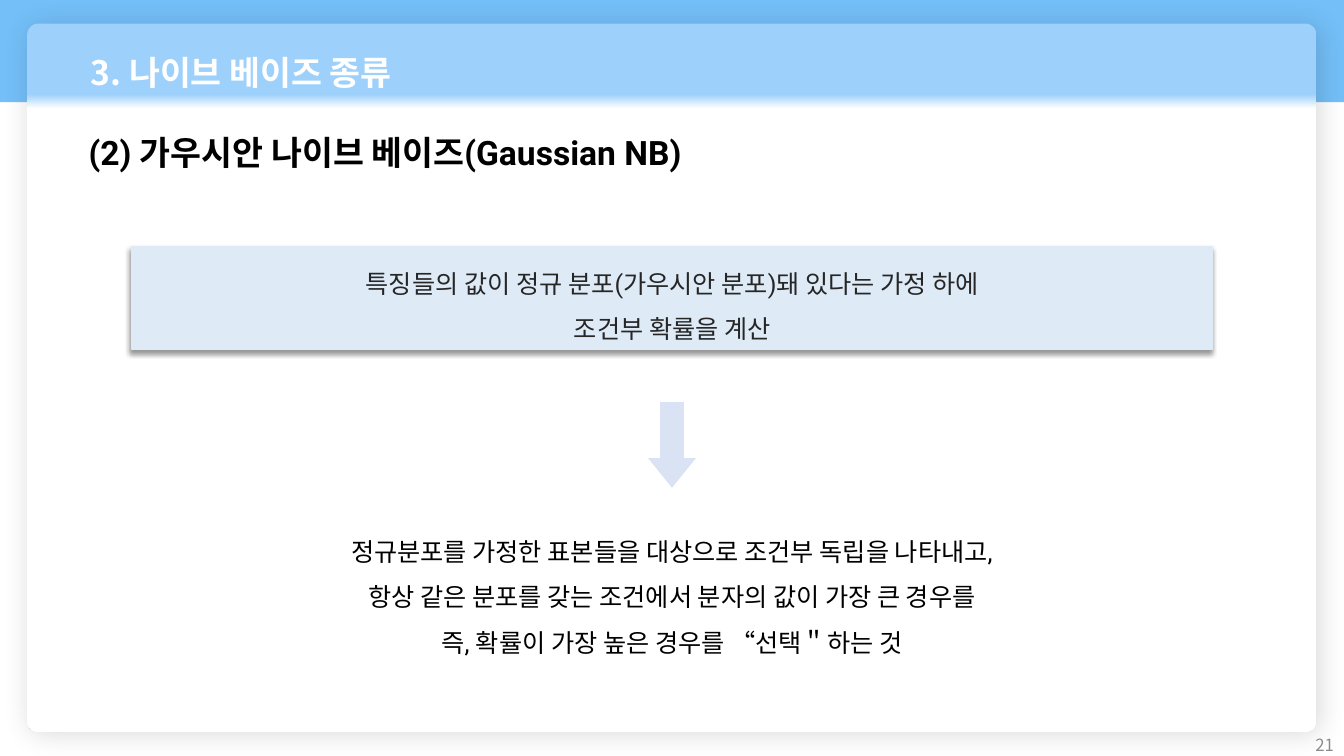
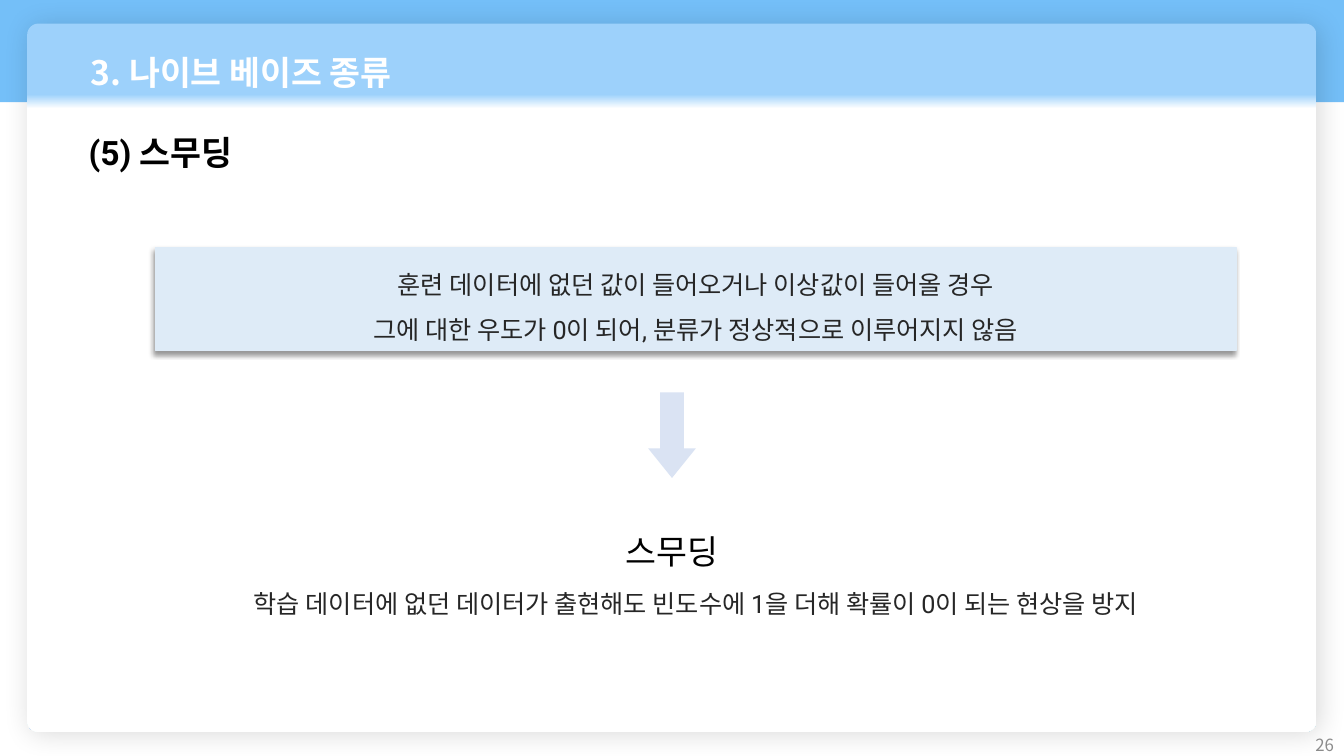
from dataclasses import dataclass

from lxml.etree import SubElement
from pptx import Presentation
from pptx.dml.color import RGBColor as RGB
from pptx.enum.shapes import MSO_SHAPE as SHAPE
from pptx.enum.text import MSO_ANCHOR as ANCHOR, MSO_AUTO_SIZE as AUTO, PP_ALIGN as ALIGN
from pptx.oxml.ns import qn
from pptx.util import Pt


@dataclass(frozen=True)
class Theme:
    band: str = "74BFF8"
    panel_top: str = "9DD1FB"
    white: str = "FFFFFF"
    black: str = "000000"
    ink: str = "262626"
    number: str = "8C8C8C"
    box: str = "DEEBF7"
    arrow: str = "DAE3F3"
    title_size: int = 24
    body_size: int = 18
    number_size: int = 12
    korean: str = "Noto Sans CJK KR"
    latin: str = "Roboto"


class Deck:
    WIDTH, HEIGHT = 960, 540

    def __init__(self, theme):
        self.theme = theme
        self.prs = Presentation()
        self.prs.slide_width, self.prs.slide_height = Pt(self.WIDTH), Pt(self.HEIGHT)
        self.s = None

    # Basic elements
    def shape(self, kind, at, fill=None):
        sp = self.s.shapes.add_shape(kind, *map(Pt, at))
        sp.line.fill.background()
        sp.shadow.inherit = False
        if fill:
            sp.fill.solid()
            sp.fill.fore_color.rgb = RGB.from_string(fill)
        return sp

    def cast_shadow(self, sp, alpha, blur, dist, angle):
        effects = sp._element.spPr.find(qn("a:effectLst"))
        shadow = SubElement(effects, qn("a:outerShdw"), blurRad=str(Pt(blur)),
                            dist=str(Pt(dist)), dir=str(angle * 60000), rotWithShape="0")
        color = SubElement(shadow, qn("a:srgbClr"), val=self.theme.black)
        SubElement(color, qn("a:alpha"), val=str(alpha * 1000))

    def set_text(self, sp, text, size, color, align=ALIGN.CENTER, spacing=1.5,
                 bold=False, font=None, anchor=ANCHOR.TOP):
        tf = sp.text_frame
        tf.word_wrap = True
        tf.vertical_anchor = anchor
        tf.text = text
        for p in tf.paragraphs:
            p.alignment = align
            p.line_spacing = spacing
            for r in p.runs:
                r.font.size = Pt(size)
                r.font.bold = bold
                r.font.color.rgb = RGB.from_string(color)
                r.font.name = font or self.theme.latin
                SubElement(r._r.get_or_add_rPr(), qn("a:ea"), typeface=self.theme.korean)
        return tf

    def text(self, at, text, size, color, **style):
        sp = self.s.shapes.add_textbox(*map(Pt, at))
        tf = self.set_text(sp, text, size, color, **style)
        tf.auto_size = AUTO.SHAPE_TO_FIT_TEXT

    # Shared frame: band, panel with title, heading, page number
    def slide(self, title, heading, number):
        t = self.theme
        self.s = self.prs.slides.add_slide(self.prs.slide_layouts[6])
        self.shape(SHAPE.RECTANGLE, (0, 0, self.WIDTH, 73), t.band)
        self.panel(title)
        self.text((56.2, 90.7, 531, 36), heading, t.title_size, t.black,
                  align=ALIGN.LEFT, spacing=1, bold=True)
        sp = self.s.shapes.add_textbox(Pt(744), Pt(517.7), Pt(216), Pt(28.8))
        self.set_text(sp, number, t.number_size, t.number, align=ALIGN.RIGHT,
                      spacing=1, font=t.korean, anchor=ANCHOR.MIDDLE)

    def panel(self, title):
        t = self.theme
        sp = self.shape(SHAPE.ROUNDED_RECTANGLE, (19.4, 16.8, 921, 506))
        sp.adjustments[0] = 0.016
        sp.fill.gradient()
        sp.fill.gradient_angle = 270
        stops = ((0.10, t.panel_top), (0.12, t.white))
        for stop, (position, color) in zip(sp.fill.gradient_stops, stops):
            stop.position = position
            stop.color.rgb = RGB.from_string(color)
        self.cast_shadow(sp, 14, 20, 3, 45)
        tf = self.set_text(sp, title, t.title_size, t.white, align=ALIGN.LEFT,
                           bold=True, font=t.korean)
        p = tf.paragraphs[0]
        p.level = 1
        pPr = p._p.get_or_add_pPr()
        pPr.set("marL", str(Pt(36)))
        pPr.set("indent", "0")

    # Content elements
    def premise(self, left, top, text):
        t = self.theme
        sp = self.shape(SHAPE.RECTANGLE, (left, top, 772, 73.4), t.box)
        sp.line.color.rgb = RGB.from_string(t.box)
        sp.line.width = Pt(1)
        self.cast_shadow(sp, 40, 4, 3, 135)
        self.set_text(sp, text, t.body_size, t.ink, anchor=ANCHOR.MIDDLE)

    def down_arrow(self, top):
        width, height = 34, 61.2
        sp = self.shape(SHAPE.DOWN_ARROW, ((self.WIDTH - width) / 2, top, width, height),
                        self.theme.arrow)
        sp.adjustments[0], sp.adjustments[1] = 0.5, 0.62


def main():
    theme = Theme()
    deck = Deck(theme)
    title = "3. 나이브 베이즈 종류"

    # Gaussian naive Bayes
    deck.slide(title, "(2) 가우시안 나이브 베이즈(Gaussian NB)", "21")
    deck.premise(94.3, 176.4, "특징들의 값이 정규 분포(가우시안 분포)돼 있다는 가정 하에\n"
                              "조건부 확률을 계산")
    deck.down_arrow(287.2)
    deck.text((192.2, 368.6, 575.5, 101.5),
              "정규분포를 가정한 표본들을 대상으로 조건부 독립을 나타내고,\n"
              "항상 같은 분포를 갖는 조건에서 분자의 값이 가장 큰 경우를\n"
              "즉, 확률이 가장 높은 경우를 “선택＂하는 것",
              theme.body_size, theme.black)

    # Smoothing
    deck.slide(title, "(5) 스무딩", "26")
    deck.premise(111, 177, "훈련 데이터에 없던 값이 들어오거나 이상값이 들어올 경우\n"
                           "그에 대한 우도가 0이 되어, 분류가 정상적으로 이루어지지 않음")
    deck.down_arrow(280.2)
    deck.text((192.2, 361.4, 575.5, 45.4), "스무딩", theme.title_size, theme.black)
    deck.text((123, 406, 748, 36),
              "학습 데이터에 없던 데이터가 출현해도 빈도수에 1을 더해 확률이 0이 되는 현상을 방지",
              theme.body_size, theme.ink)

    deck.prs.save("out.pptx")


if __name__ == "__main__":
    main()
